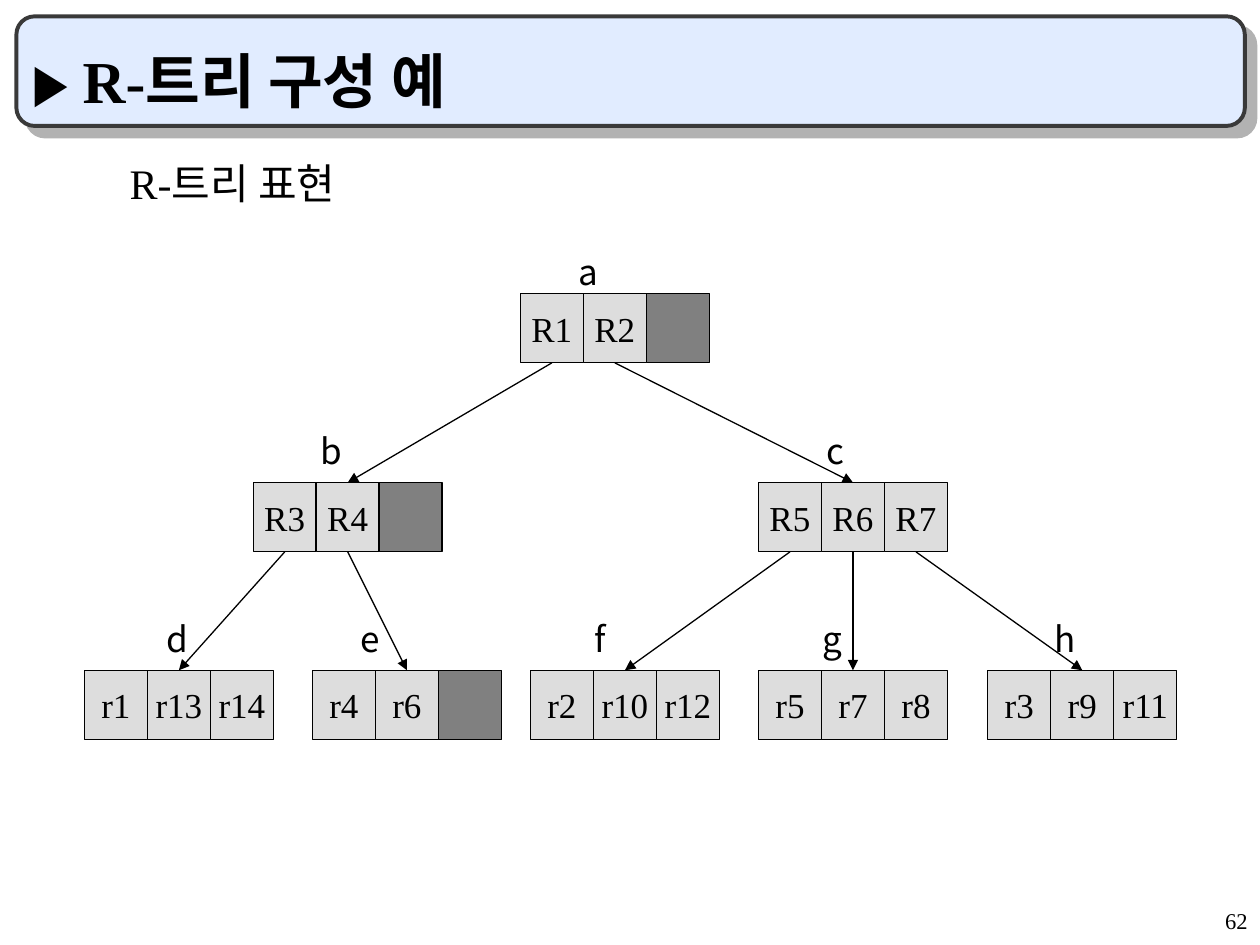
from lxml import etree
from pptx import Presentation
from pptx.dml.color import RGBColor
from pptx.enum.shapes import MSO_CONNECTOR, MSO_SHAPE
from pptx.enum.text import MSO_ANCHOR, MSO_AUTO_SIZE, PP_ALIGN
from pptx.oxml import parse_xml
from pptx.oxml.ns import nsdecls, qn
from pptx.util import Inches, Pt

BLACK = RGBColor(0x00, 0x00, 0x00)
BAND_FILL = RGBColor(0xE1, 0xEC, 0xFF)
BAND_LINE = RGBColor(0x39, 0x39, 0x39)
BAND_SHADOW = RGBColor(0xB2, 0xB2, 0xB2)
USED_CELL = RGBColor(0xDD, 0xDD, 0xDD)
EMPTY_CELL = RGBColor(0x80, 0x80, 0x80)

RECTANGLE = MSO_SHAPE.RECTANGLE
ROUNDED_RECTANGLE = MSO_SHAPE.ROUNDED_RECTANGLE
STRAIGHT = MSO_CONNECTOR.STRAIGHT
CENTER, LEFT, RIGHT = PP_ALIGN.CENTER, PP_ALIGN.LEFT, PP_ALIGN.RIGHT
MIDDLE, BOTTOM = MSO_ANCHOR.MIDDLE, MSO_ANCHOR.BOTTOM
FIT_SHAPE, NO_FIT = MSO_AUTO_SIZE.SHAPE_TO_FIT_TEXT, MSO_AUTO_SIZE.NONE

SERIF = "Times New Roman"
SANS = "Noto Sans CJK KR"
CELL_WIDTH, CELL_HEIGHT = 0.5, 0.55
LABEL_WIDTH, LABEL_HEIGHT = 1.18, 0.44
LABEL_RISE = 0.47
TOP_SITE, BOTTOM_SITE = 0, 2

# name: left, top, label centre, cell texts
NODES = {
    "a": (4.13, 2.33, 4.67, ("R1", "R2", "")),
    "b": (2.01, 3.83, 2.63, ("R3", "R4", "")),
    "c": (6.02, 3.83, 6.63, ("R5", "R6", "R7")),
    "d": (0.67, 5.32, 1.41, ("r1", "r13", "r14")),
    "e": (2.48, 5.32, 2.94, ("r4", "r6", "")),
    "f": (4.21, 5.32, 4.76, ("r2", "r10", "r12")),
    "g": (6.02, 5.32, 6.61, ("r5", "r7", "r8")),
    "h": (7.84, 5.32, 8.45, ("r3", "r9", "r11")),
}
CHILDREN = {"a": "bc", "b": "de", "c": "fgh"}


def format_run(run, size, name=SERIF, bold=False):
    run.font.size = Pt(size)
    run.font.name = name
    run.font.bold = bold
    run.font.color.rgb = BLACK
    east_asian = etree.SubElement(run.font._element, qn("a:ea"))
    east_asian.set("typeface", SANS)


def add_band(slide):
    band = slide.shapes.add_shape(
        ROUNDED_RECTANGLE, Inches(0.13), Inches(0.13), Inches(9.75), Inches(0.87))
    band.fill.solid()
    band.fill.fore_color.rgb = BAND_FILL
    band.line.color.rgb = BAND_LINE
    band.line.width = Pt(2.25)
    band._element.spPr.append(parse_xml(
        f'<a:effectLst {nsdecls("a")}><a:outerShdw dist="{Pt(8.5)}" dir="2700000" '
        f'algn="tl" rotWithShape="0"><a:srgbClr val="{BAND_SHADOW}"/>'
        '</a:outerShdw></a:effectLst>'))
    slide.shapes._spTree.insert(2, band._element)


def set_title(slide):
    title = slide.shapes.title
    title.left, title.top = Inches(0.25), Inches(0.25)
    title.width, title.height = Inches(9.42), Inches(0.67)
    frame = title.text_frame
    frame.margin_left = frame.margin_right = 0
    frame.margin_top = frame.margin_bottom = 0
    frame.vertical_anchor = BOTTOM
    frame.auto_size = NO_FIT
    paragraph = frame.paragraphs[0]
    paragraph.alignment = LEFT
    for text, size in (("▶ ", 32), ("R-트리 구성 예", 34)):
        run = paragraph.add_run()
        run.text = text
        format_run(run, size, bold=True)


def add_text(slide, text, left, top, width, height, size,
             font=SERIF, alignment=LEFT, spacing=1.0, fit=FIT_SHAPE):
    box = slide.shapes.add_textbox(
        Inches(left), Inches(top), Inches(width), Inches(height))
    frame = box.text_frame
    frame.word_wrap = True
    frame.auto_size = fit
    frame.text = text
    paragraph = frame.paragraphs[0]
    paragraph.alignment = alignment
    paragraph.line_spacing = spacing
    format_run(paragraph.runs[0], size, font)
    return paragraph


def add_cell(group, text, left, top):
    cell = group.shapes.add_shape(
        RECTANGLE, Inches(left), Inches(top), Inches(CELL_WIDTH), Inches(CELL_HEIGHT))
    cell.shadow.inherit = False
    cell.fill.solid()
    cell.fill.fore_color.rgb = USED_CELL if text else EMPTY_CELL
    cell.line.color.rgb = BLACK
    cell.line.width = Pt(0.75)
    if text:
        frame = cell.text_frame
        frame.word_wrap = False
        frame.vertical_anchor = MIDDLE
        frame.text = text
        frame.paragraphs[0].alignment = CENTER
        format_run(frame.paragraphs[0].runs[0], 20)
    return cell


def add_node(slide, left, top, texts):
    group = slide.shapes.add_group_shape()
    return [add_cell(group, text, left + index * CELL_WIDTH, top)
            for index, text in enumerate(texts)]


def add_arrow(slide, parent_cell, child_cell):
    arrow = slide.shapes.add_connector(STRAIGHT, 0, 0, 0, 0)
    arrow.begin_connect(parent_cell, BOTTOM_SITE)
    arrow.end_connect(child_cell, TOP_SITE)
    arrow.line.color.rgb = BLACK
    arrow.line.width = Pt(0.75)
    etree.SubElement(arrow.line._get_or_add_ln(), qn("a:tailEnd")).set("type", "triangle")
    etree.SubElement(arrow._element.spPr, qn("a:effectLst"))


def add_tree(slide):
    cells = {name: add_node(slide, left, top, texts)
             for name, (left, top, _, texts) in NODES.items()}
    for parent, children in CHILDREN.items():
        for parent_cell, child in zip(cells[parent], children):
            add_arrow(slide, parent_cell, cells[child][1])
    for name, (_, top, center, _) in NODES.items():
        rise = 0.39 if name == "a" else LABEL_RISE
        add_text(slide, name, center - LABEL_WIDTH / 2, top - rise,
                 LABEL_WIDTH, LABEL_HEIGHT, 20, SANS, CENTER)


def main():
    presentation = Presentation()
    presentation.slide_width, presentation.slide_height = Inches(10), Inches(7.5)
    slide = presentation.slides.add_slide(presentation.slide_layouts[5])
    add_band(slide)
    set_title(slide)
    add_text(slide, "62", 7.92, 7.17, 2.08, 0.33, 12.9,
             alignment=RIGHT, spacing=0.9, fit=NO_FIT)
    add_tree(slide)
    subtitle = add_text(slide, "R-트리 표현", 0.43, 1.31, 3.31, 0.38, 24, spacing=0.7)
    properties = subtitle._p.get_or_add_pPr()
    properties.set("marL", str(Inches(0.81)))
    properties.set("indent", str(Inches(-0.31)))
    presentation.save("out.pptx")


if __name__ == "__main__":
    main()
